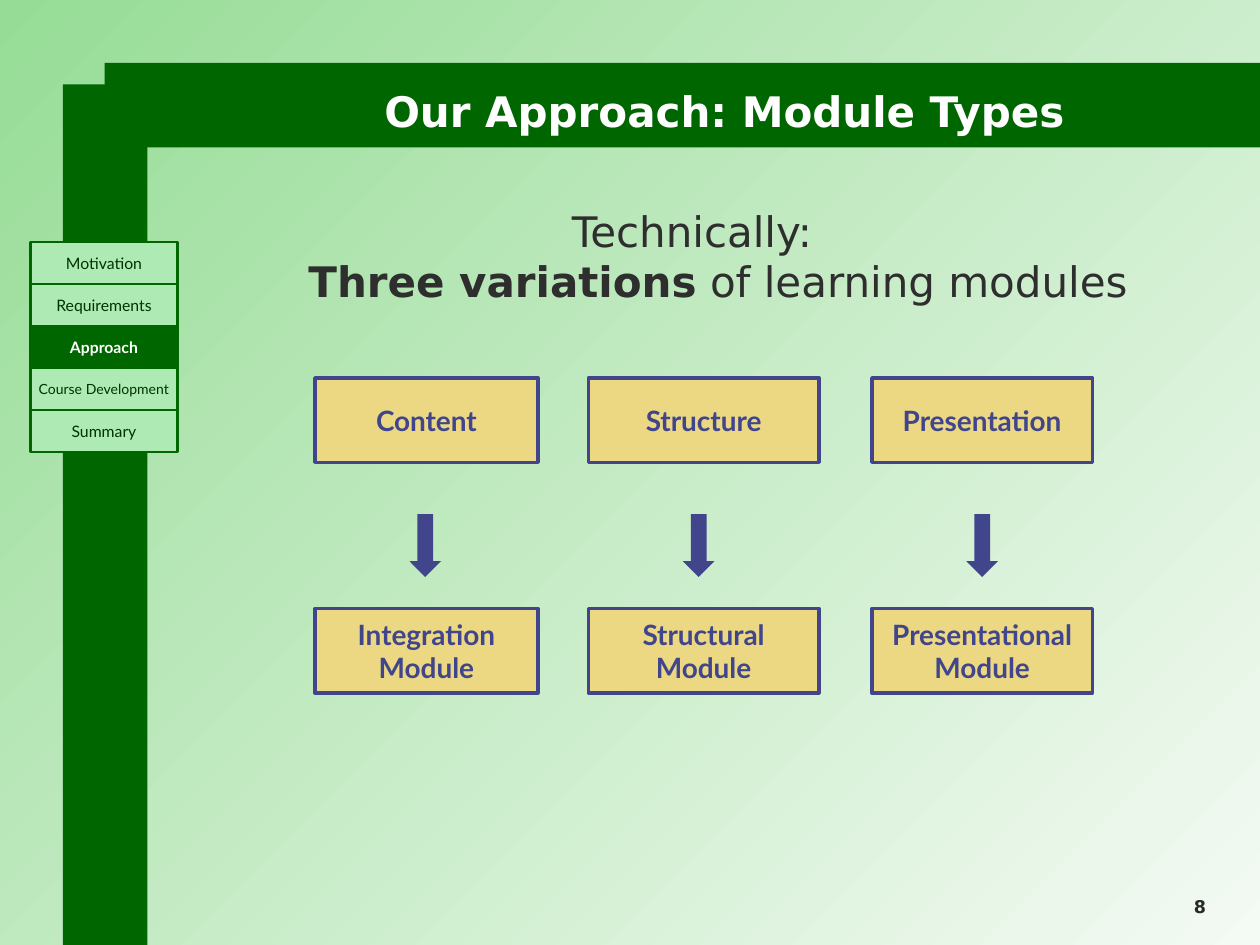
import pptx
import pptx.util
import pptx.dml.color
import pptx.enum.shapes
import pptx.enum.text
import pptx.oxml

Inches = pptx.util.Inches
Shape = pptx.enum.shapes.MSO_SHAPE
Align = pptx.enum.text.PP_ALIGN
Anchor = pptx.enum.text.MSO_ANCHOR

THEME = {
    "green": "006600", "mint": "AEEAB4", "leaf": "003300", "white": "FFFFFF",
    "sand": "ECD882", "blue": "40458C", "ink": "2E2E2E", "page": "292929",
    "pale": "F4FAF4", "fresh": "96DC96",
    "sans": "DejaVu Sans", "label": "Lato",
    "head": 24, "box": 16, "step": 9, "small": 8, "number": 10,
}

TITLE = "Our Approach: Module Types"
LEAD = "Technically: "
STRONG, REST = "Three variations", " of learning modules"
STEPS = [
    ("Motivation", "step"),
    ("Requirements", "step"),
    ("Approach", "step"),
    ("Course Development", "small"),
    ("Summary", "step"),
]
ACTIVE = "Approach"
COLUMNS = [
    ("Content", "Integration", 2.5, 1.77),
    ("Structure", "Structural", 4.67, 1.83),
    ("Presentation", "Presentational", 6.92, 1.75),
]
BANDS = [(0.83, 0.5, 9.17, 0.67), (0.5, 0.67, 0.67, 6.83)]
PAGE = "8"


def color(name):
    return pptx.dml.color.RGBColor.from_string(THEME[name])


def style(para, face, size, tint, bold=None, align=Align.CENTER):
    para.alignment = align
    para.font.name = THEME[face]
    para.font.size = pptx.util.Pt(THEME[size])
    para.font.color.rgb = color(tint)
    para.font.bold = bold


def place(shape, left, top, width, height):
    shape.left, shape.top = Inches(left), Inches(top)
    shape.width, shape.height = Inches(width), Inches(height)


def add_block(shapes, kind, area, fill, line=None, weight=0):
    block = shapes.add_shape(kind, *map(Inches, area))
    block.shadow.inherit = False
    block.fill.solid()
    block.fill.fore_color.rgb = color(fill)
    if line:
        block.line.color.rgb = color(line)
        block.line.width = pptx.util.Pt(weight)
    else:
        block.line.fill.background()
    return block


def add_label(shapes, area, text, size, fill, line, weight, tint, bold):
    block = add_block(shapes, Shape.RECTANGLE, area, fill, line, weight)
    frame = block.text_frame
    frame.word_wrap = False
    frame.vertical_anchor = Anchor.MIDDLE
    frame.text = text
    for para in frame.paragraphs:
        style(para, "label", size, tint, bold)


def add_box(shapes, area, text):
    add_label(shapes, area, text, "box", "sand", "blue", 2, "blue", True)


def set_back(slide):
    fill = slide.background.fill
    fill.gradient()
    fill.gradient_angle = 135
    for stop, name, spot in zip(fill.gradient_stops, ("pale", "fresh"), (0, 1)):
        stop.color.rgb = color(name)
        stop.position = spot
    tree = slide.shapes._spTree
    for spot, area in enumerate(BANDS, 2):
        band = add_block(slide.shapes, Shape.RECTANGLE, area, "green")
        tree.insert(spot, band._element)


def set_text(slide):
    title, body = slide.shapes.title, slide.placeholders[1]
    place(title, 1.5, 0.25, 8.5, 1.25)
    title.text_frame.text = TITLE
    title.text_frame.vertical_anchor = Anchor.MIDDLE
    style(title.text_frame.paragraphs[0], "sans", "head", "white", True)

    place(body, 1.67, 1.58, 7.75, 0.92)
    para = body.text_frame.paragraphs[0]
    para.add_run().text = LEAD
    para.add_line_break()
    strong = para.add_run()
    strong.text = STRONG
    strong.font.bold = True
    para.add_run().text = REST
    style(para, "sans", "head", "ink")
    para.space_before = pptx.util.Pt(6)
    props = para._p.get_or_add_pPr()
    props.set("marL", str(Inches(0.31)))
    props.set("indent", str(Inches(-0.31)))
    none = pptx.oxml.parse_xml(
        '<a:buNone xmlns:a="http://schemas.openxmlformats.org/drawingml/2006/main"/>')
    props.find(pptx.oxml.ns.qn("a:defRPr")).addprevious(none)

    for shape in (title, body):
        shape.text_frame.word_wrap = True
        shape.text_frame.auto_size = pptx.enum.text.MSO_AUTO_SIZE.NONE


def add_columns(slide):
    for part, module, left, width in COLUMNS:
        add_box(slide.shapes, (left, 3, width, 0.67), part)
        group = slide.shapes.add_group_shape()
        add_box(group.shapes, (left, 4.83, width, 0.67), module + "\nModule")
        add_block(group.shapes, Shape.DOWN_ARROW,
                  (left + 0.75, 4.08, 0.25, 0.5), "blue")


def add_steps(slide):
    pitch = 1 / 3
    for row, (text, size) in enumerate(STEPS):
        live = text == ACTIVE
        fill, tint = ("green", "white") if live else ("mint", "leaf")
        area = (0.24, 1.92 + row * pitch, 1.17, pitch)
        add_label(slide.shapes, area, text, size, fill, "green", 1.5, tint, live)


def add_number(slide):
    frame = slide.shapes.add_textbox(
        *map(Inches, (8.75, 6.83, 0.92, 0.5))).text_frame
    frame.word_wrap = True
    frame.vertical_anchor = Anchor.BOTTOM
    frame.text = PAGE
    style(frame.paragraphs[0], "sans", "number", "page", True, Align.RIGHT)


def main():
    deck = pptx.Presentation()
    deck.slide_width, deck.slide_height = Inches(10), Inches(7.5)
    slide = deck.slides.add_slide(deck.slide_layouts[1])
    set_back(slide)
    set_text(slide)
    add_columns(slide)
    add_steps(slide)
    add_number(slide)
    deck.save("out.pptx")


if __name__ == "__main__":
    main()
